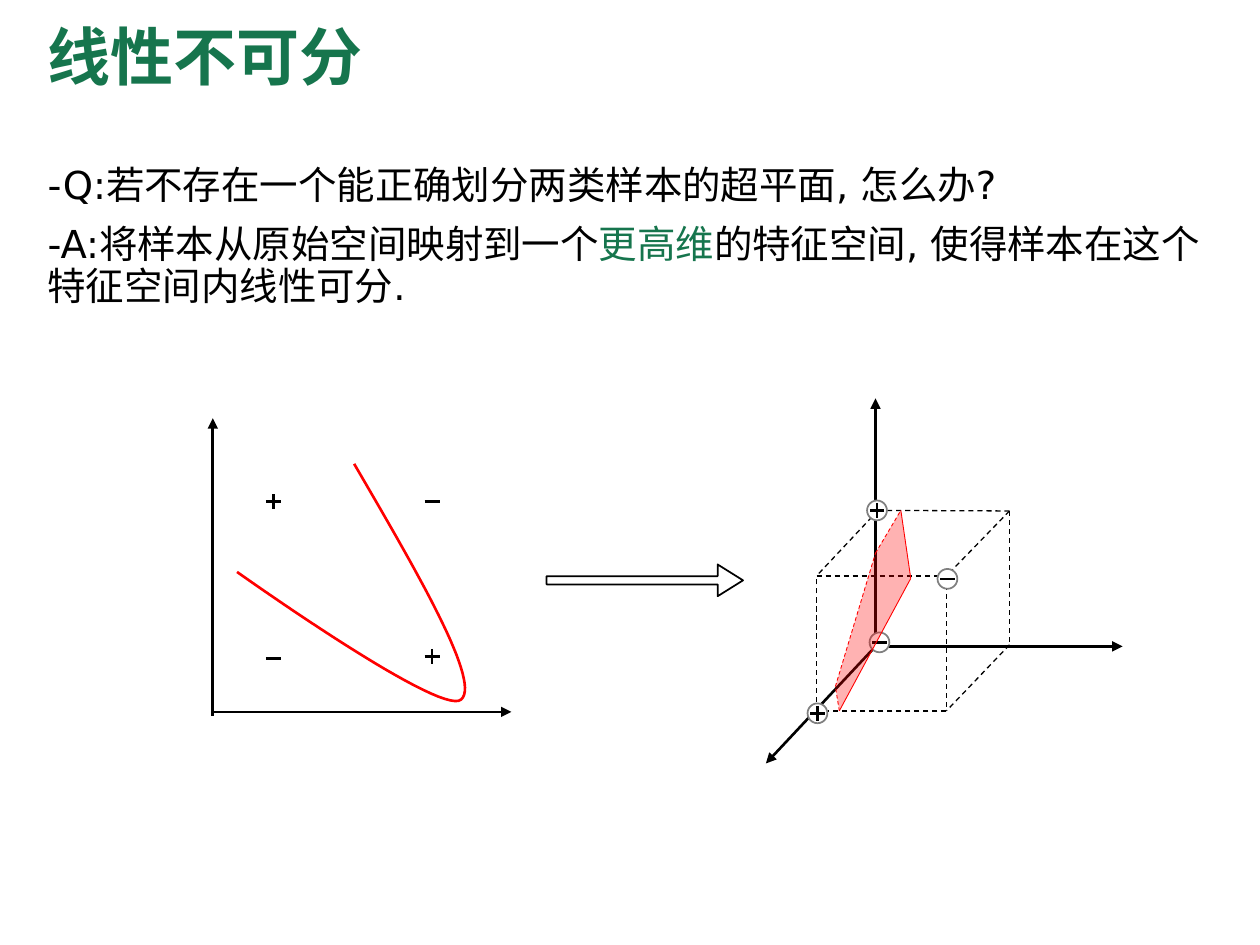
from lxml import etree
from pptx import Presentation
from pptx.dml.color import RGBColor
from pptx.enum.dml import MSO_LINE
from pptx.enum.shapes import MSO_CONNECTOR, MSO_SHAPE
from pptx.enum.text import MSO_ANCHOR, PP_ALIGN
from pptx.oxml.ns import qn
from pptx.util import Cm, Pt

STRAIGHT = MSO_CONNECTOR.STRAIGHT
ELLIPSE = MSO_SHAPE.OVAL
RIGHT_ARROW = MSO_SHAPE.RIGHT_ARROW
DASH = MSO_LINE.DASH
LEFT = PP_ALIGN.LEFT
TOP = MSO_ANCHOR.TOP
MIDDLE = MSO_ANCHOR.MIDDLE

THEME = {
    "font": "DejaVu Sans",
    "green": RGBColor(0x16, 0x75, 0x4D),
    "black": RGBColor(0, 0, 0),
    "white": RGBColor(255, 255, 255),
    "gray": RGBColor(128, 128, 128),
    "red": RGBColor(255, 0, 0),
    "title": Pt(36),
    "body": Pt(22),
}


def add_line(shapes, start, end, color="black", width=1.5, dash=None, arrow=False):
    line = shapes.add_connector(STRAIGHT, *(Cm(value) for value in (*start, *end)))
    line.line.color.rgb = THEME[color]
    line.line.width = Pt(width)
    if dash:
        line.line.dash_style = dash
    properties = line.line._get_or_add_ln()
    if arrow:
        etree.SubElement(properties, qn("a:tailEnd"), type="triangle")
    etree.SubElement(properties.getparent(), qn("a:effectLst"))


def add_sign(shapes, x, y, sign, ringed=False):
    if ringed:
        ring = shapes.add_shape(ELLIPSE, Cm(x - 0.2), Cm(y - 0.2), Cm(0.4), Cm(0.4))
        ring.shadow.inherit = False
        ring.fill.solid()
        ring.fill.fore_color.rgb = THEME["white"]
        ring.line.color.rgb = THEME["gray"]
        ring.line.width = Pt(1)
    add_line(shapes, (x - 0.15, y), (x + 0.15, y))
    if sign == "+":
        add_line(shapes, (x, y - 0.15), (x, y + 0.15))


deck = Presentation()
deck.slide_width, deck.slide_height = Cm(25.4), Cm(19.05)
page = deck.slides.add_slide(deck.slide_layouts[5])

title = page.shapes.title
body = page.shapes.add_textbox(Cm(0.71), Cm(3.23), Cm(23.93), Cm(13.69))
for name, value in {"left": 0.71, "top": 0.13, "width": 21.89, "height": 2.16}.items():
    setattr(title, name, Cm(value))

texts = [
    (title, MIDDLE, "title", True, [[("线性不可分", "green")]]),
    (body, TOP, "body", False, [
        [("-Q:若不存在一个能正确划分两类样本的超平面, 怎么办?", "black")],
        [("-A:将样本从原始空间映射到一个", "black"), ("更高维", "green"),
         ("的特征空间, 使得样本在这个特征空间内线性可分.", "black")],
    ]),
]
for box, anchor, size, bold, lines in texts:
    frame = box.text_frame
    frame.word_wrap = True
    frame.vertical_anchor = anchor
    for index, spans in enumerate(lines):
        para = frame.add_paragraph() if index else frame.paragraphs[0]
        layout = {"alignment": LEFT, "line_spacing": 0.9, "space_before": Pt(10 if index else 0)}
        for name, value in layout.items():
            setattr(para, name, value)
        for text, color in spans:
            span = para.add_run()
            span.text = text
            for name, value in {"name": THEME["font"], "size": THEME[size], "bold": bold}.items():
                setattr(span.font, name, value)
            span.font.color.rgb = THEME[color]

add_line(page.shapes, (4.29, 14.43), (4.29, 8.43), arrow=True)
add_line(page.shapes, (4.29, 14.35), (10.31, 14.35), arrow=True)
signs = page.shapes.add_group_shape().shapes
for x, y, sign in [(8.71, 13.23, "+"), (5.51, 10.11, "+"), (8.71, 10.11, "-"), (5.51, 13.28, "-")]:
    add_sign(signs, x, y, sign)

curve_segments = [
    [(7.14, 9.35), (8.41, 11.53), (9.7, 13.74), (9.3, 14.1)],
    [(9.3, 14.1), (8.92, 14.48), (4.78, 11.53), (4.78, 11.53)],
]
STEPS = 30
curve_points = []
for controls in curve_segments:
    for step in range(STEPS + 1):
        t = step / STEPS
        weights = ((1 - t) ** 3, 3 * t * (1 - t) ** 2, 3 * t ** 2 * (1 - t), t ** 3)
        curve_points.append(tuple(
            Cm(sum(weight * value for weight, value in zip(weights, axis)))
            for axis in zip(*controls)
        ))
builder = page.shapes.build_freeform(*curve_points[0])
builder.add_line_segments(curve_points[1:], close=False)
curve = builder.convert_to_shape()
curve.shadow.inherit = False
curve.fill.background()
curve.line.color.rgb = THEME["red"]
curve.line.width = Pt(1.5)

cube = page.shapes.add_group_shape().shapes
origin = (17.65, 13.03)
for tip in [(17.65, 8.03), (22.63, 13.03), (15.44, 15.39)]:
    add_line(cube, origin, tip, arrow=True)

back = [(17.7, 10.29), (20.35, 10.3), (20.35, 13)]
front = [(16.46, 11.61), (19.08, 11.61), (19.08, 14.33), (16.46, 14.33)]
edges = [*zip(back, back[1:]), *zip(front, front[1:] + front[:1]), *zip(back, front)]
for start, end in edges:
    add_line(cube, start, end, width=0.75, dash=DASH)
for x, y, sign in [(16.48, 14.38, "+"), (17.68, 10.29, "+"), (19.1, 11.67, "-"), (17.73, 12.95, "-")]:
    add_sign(cube, x, y, sign, ringed=True)

plane = [(18.16, 10.29), (18.36, 11.66), (16.92, 14.33), (16.84, 13.84), (17.65, 11.15)]
for index, (start, end) in enumerate(zip(plane, plane[1:] + plane[:1])):
    add_line(page.shapes, start, end, "red", 0.5, DASH if index > 1 else None)
corners = [(Cm(x), Cm(y)) for x, y in plane]
builder = page.shapes.build_freeform(*corners[0])
builder.add_line_segments(corners[1:], close=True)
surface = builder.convert_to_shape()
surface.shadow.inherit = False
surface.fill.solid()
surface.fill.fore_color.rgb = THEME["red"]
surface.line.fill.background()
tint = surface._element.spPr.find(qn("a:solidFill")).find(qn("a:srgbClr"))
etree.SubElement(tint, qn("a:alpha"), val="30000")

arrow = page.shapes.add_shape(RIGHT_ARROW, Cm(11.02), Cm(11.38), Cm(3.96), Cm(0.64))
arrow.shadow.inherit = False
arrow.adjustments[0], arrow.adjustments[1] = 0.26, 0.8
arrow.fill.background()
arrow.line.color.rgb = THEME["black"]
arrow.line.width = Pt(1)

deck.save("out.pptx")
